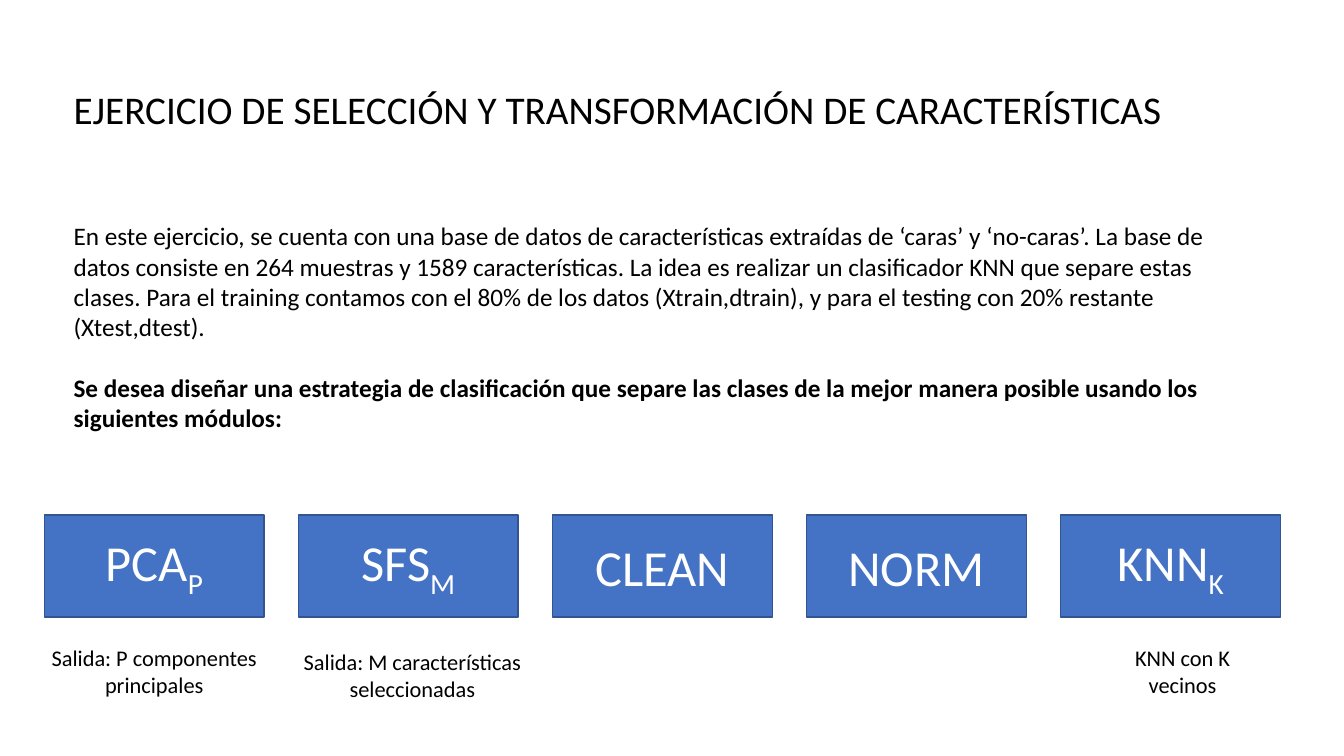
from dataclasses import dataclass

from lxml import etree
from pptx import Presentation
from pptx.dml.color import RGBColor
from pptx.enum.shapes import MSO_SHAPE
from pptx.enum.text import MSO_ANCHOR, MSO_AUTO_SIZE, PP_ALIGN
from pptx.oxml.ns import qn
from pptx.util import Inches, Pt

RECTANGLE = MSO_SHAPE.RECTANGLE
TOP, MIDDLE = MSO_ANCHOR.TOP, MSO_ANCHOR.MIDDLE
LEFT, CENTER = PP_ALIGN.LEFT, PP_ALIGN.CENTER
NO_AUTOFIT = MSO_AUTO_SIZE.NONE

BLACK = RGBColor(0x00, 0x00, 0x00)
WHITE = RGBColor(0xFF, 0xFF, 0xFF)
BLUE = RGBColor(0x44, 0x72, 0xC4)
DARK_BLUE = RGBColor(0x32, 0x54, 0x91)
FONT = "Calibri"

MODULE_LEFT, MODULE_TOP, MODULE_STEP = 0.44, 5.11, 2.52
MODULE_WIDTH, MODULE_HEIGHT = 2.18, 1.01


@dataclass
class Module:
    name: str
    parameter: str = ""


@dataclass
class Caption:
    lines: list[str]
    left: float
    top: float
    width: float


TITLE = "EJERCICIO DE SELECCIÓN Y TRANSFORMACIÓN DE CARACTERÍSTICAS"
CONTEXT = (
    "En este ejercicio, se cuenta con una base de datos de características "
    "extraídas de ‘caras’ y ‘no-caras’. La base de datos consiste en 264 "
    "muestras y 1589 características. La idea es realizar un clasificador KNN "
    "que separe estas clases. Para el training contamos con el 80% de los datos "
    "(Xtrain,dtrain), y para el testing con 20% restante (Xtest,dtest)."
)
TASK = (
    "Se desea diseñar una estrategia de clasificación que separe las clases de "
    "la mejor manera posible usando los siguientes módulos:"
)
MODULES = [
    Module("PCA", "P"),
    Module("SFS", "M"),
    Module("CLEAN"),
    Module("NORM"),
    Module("KNN", "K"),
]
CAPTIONS = [
    Caption(["Salida: P componentes", "principales"], 0.4, 6.34, 2.26),
    Caption(["Salida: M características", "seleccionadas"], 2.9, 6.38, 2.38),
    Caption(["KNN con K", "vecinos"], 11.15, 6.34, 1.16),
]


def apply_format(target, values: dict) -> None:
    for name, value in values.items():
        setattr(target, name, value)


def add_run(paragraph, text: str, size: float, color: RGBColor, bold: bool = False):
    run = paragraph.add_run()
    run.text = text
    apply_format(run.font, {"name": FONT, "size": Pt(size), "bold": bold})
    run.font.color.rgb = color
    return run


def place(shape, left: float, top: float, width: float, height: float) -> None:
    apply_format(shape, {
        "left": Inches(left), "top": Inches(top),
        "width": Inches(width), "height": Inches(height),
    })


def fill_title(shape) -> None:
    place(shape, 0.63, 0.8, 11.1, 0.57)
    apply_format(shape.text_frame, {
        "word_wrap": True, "auto_size": NO_AUTOFIT, "vertical_anchor": TOP,
    })
    paragraph = shape.text_frame.paragraphs[0]
    paragraph.alignment = LEFT
    add_run(paragraph, TITLE, 28, BLACK)


def fill_body(shape) -> None:
    place(shape, 0.63, 2.14, 11.64, 2.22)
    frame = shape.text_frame
    apply_format(frame, {
        "word_wrap": True, "auto_size": NO_AUTOFIT, "vertical_anchor": TOP,
    })
    context, task = frame.paragraphs[0], frame.add_paragraph()
    for paragraph, text, gap, bold in (
        (context, CONTEXT, 0, False),
        (task, TASK, 22, True),
    ):
        apply_format(paragraph, {"alignment": LEFT, "space_before": Pt(gap)})
        add_run(paragraph, text, 18, BLACK, bold)
        # Plain prose: no bullet and no hanging indent
        properties = paragraph._p.get_or_add_pPr()
        properties.set("marL", "0")
        properties.set("indent", "0")
        etree.SubElement(properties, qn("a:buNone"))


def add_module(slide, module: Module, column: int) -> None:
    box = slide.shapes.add_shape(
        RECTANGLE,
        Inches(MODULE_LEFT + column * MODULE_STEP), Inches(MODULE_TOP),
        Inches(MODULE_WIDTH), Inches(MODULE_HEIGHT),
    )
    box.shadow.inherit = False
    box.fill.solid()
    box.fill.fore_color.rgb = BLUE
    box.line.color.rgb = DARK_BLUE
    box.line.width = Pt(1)
    box.text_frame.vertical_anchor = MIDDLE
    paragraph = box.text_frame.paragraphs[0]
    paragraph.alignment = CENTER
    add_run(paragraph, module.name, 36, WHITE)
    if module.parameter:
        subscript = add_run(paragraph, module.parameter, 36, WHITE)
        subscript._r.get_or_add_rPr().set("baseline", "-25000")


def add_caption(slide, caption: Caption) -> None:
    box = slide.shapes.add_textbox(
        Inches(caption.left), Inches(caption.top),
        Inches(caption.width), Inches(0.64),
    )
    frame = box.text_frame
    frame.word_wrap = False
    for index, line in enumerate(caption.lines):
        paragraph = frame.add_paragraph() if index else frame.paragraphs[0]
        paragraph.alignment = CENTER
        add_run(paragraph, line, 16, BLACK)


presentation = Presentation()
presentation.slide_width = Inches(13.33)
presentation.slide_height = Inches(7.5)
slide = presentation.slides.add_slide(presentation.slide_layouts[1])

# Title and statement of the exercise
fill_title(slide.shapes.title)
fill_body(slide.placeholders[1])

# Row of modules
for column, module in enumerate(MODULES):
    add_module(slide, module, column)

# Captions under the modules that take a parameter
for caption in CAPTIONS:
    add_caption(slide, caption)

presentation.save("out.pptx")
